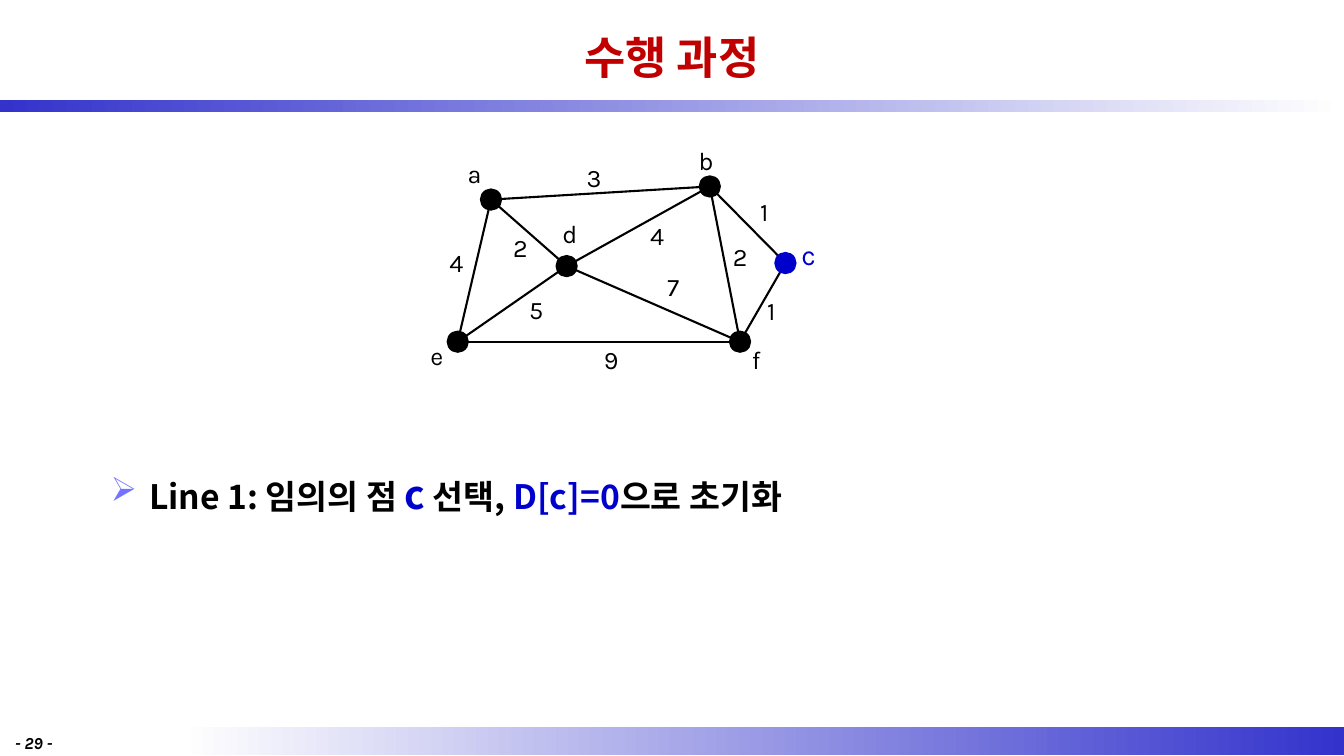
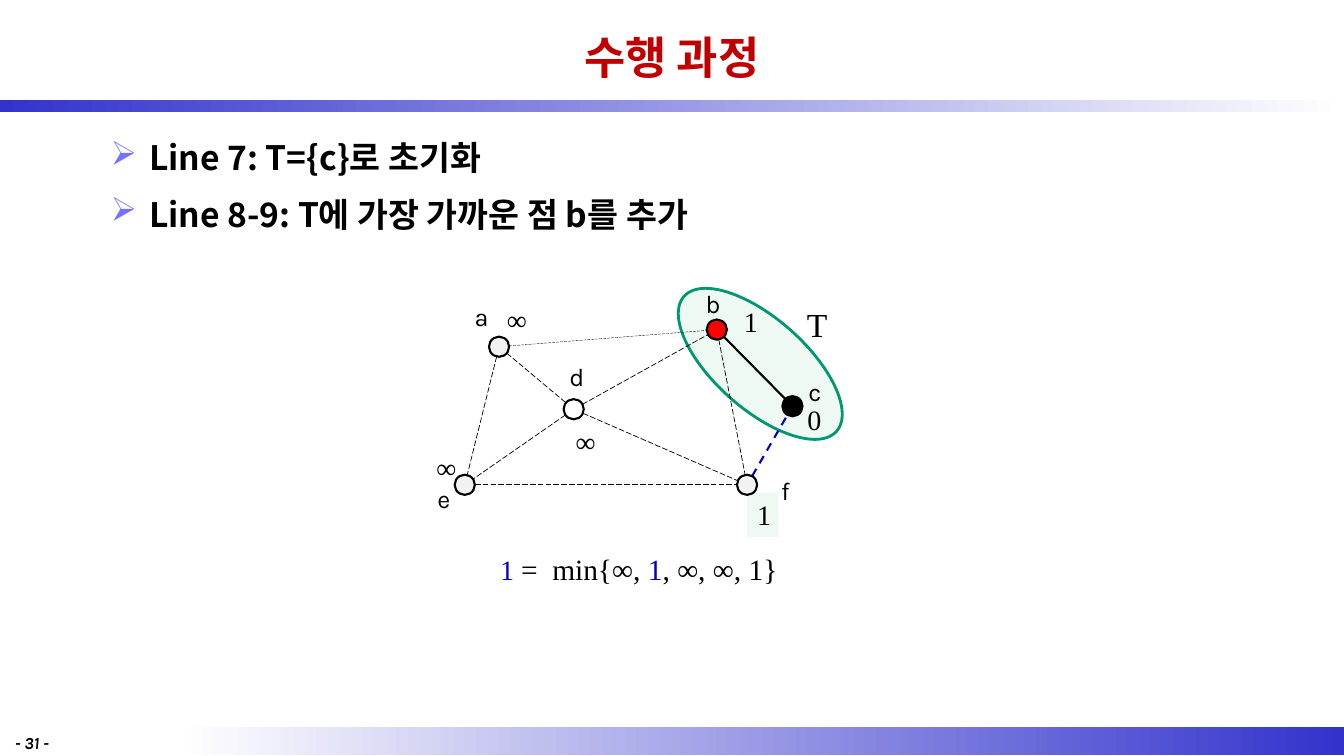
import math

import lxml.etree
import pptx
import pptx.dml.color
import pptx.enum.dml
import pptx.enum.shapes
import pptx.enum.text
import pptx.oxml.ns
import pptx.util

Inches = pptx.util.Inches
Pt = pptx.util.Pt
RGB = pptx.dml.color.RGBColor.from_string
Align = pptx.enum.text.PP_ALIGN
Dash = pptx.enum.dml.MSO_LINE
Shape = pptx.enum.shapes.MSO_SHAPE
qn = pptx.oxml.ns.qn


class Theme:
    black, white, gray = "000000", "FFFFFF", "F2F2F2"
    blue, band, bullet = "0000CC", "3333CC", "7373FF"
    title, red = "C00000", "FF0000"
    mint, green = "EEF9F4", "009771"
    heading_font, label_font, math_font = "Noto Sans CJK KR", "Karla", "Times New Roman"
    title_size, body_size, emphasis_size = 32, 24, 28
    label_size, value_size, formula_size, page_size = 18, 20, 21, 12


def add_text(slide, box, paragraphs, *, font=Theme.label_font, size=Theme.label_size,
             color=Theme.black, bold=False, italic=False, align=Align.LEFT,
             middle=False, wrap=True, fill=None, bullets=False):
    """Each paragraph is a string or a list of (text, overriding format) runs."""
    shape = slide.shapes.add_textbox(*map(Inches, box))
    if fill:
        shape.fill.solid()
        shape.fill.fore_color.rgb = RGB(fill)
    frame = shape.text_frame
    frame.word_wrap = wrap
    if middle:
        frame.vertical_anchor = pptx.enum.text.MSO_ANCHOR.MIDDLE
    for index, runs in enumerate(paragraphs):
        paragraph = frame.add_paragraph() if index else frame.paragraphs[0]
        paragraph.alignment = align
        if bullets:
            paragraph.line_spacing = 1.2
            paragraph.space_after = Pt(6)
            properties = paragraph._p.get_or_add_pPr()
            properties.set("marL", str(Inches(0.38)))
            properties.set("indent", str(-Inches(0.38)))
            bullet_color = lxml.etree.SubElement(properties, qn("a:buClr"))
            lxml.etree.SubElement(bullet_color, qn("a:srgbClr"), val=Theme.bullet)
            lxml.etree.SubElement(properties, qn("a:buChar"), char="➢")
        for content, style in [(runs, {})] if isinstance(runs, str) else runs:
            run = paragraph.add_run()
            run.text = content
            run.font.name = font
            run.font.size = Pt(style.get("size", size))
            run.font.bold = bold
            run.font.italic = italic
            run.font.color.rgb = RGB(style.get("color", color))
            lxml.etree.SubElement(run._r.get_or_add_rPr(), qn("a:ea"), typeface=font)


def add_shape(slide, kind, box, fill, line=None, width=1.5):
    """A pair of colours as fill makes a gradient from left to right."""
    shape = slide.shapes.add_shape(kind, *map(Inches, box))
    shape.shadow.inherit = False
    if isinstance(fill, tuple):
        shape.fill.gradient()
        shape.fill.gradient_angle = 0
        for stop, color in zip(shape.fill.gradient_stops, fill):
            stop.color.rgb = RGB(color)
    else:
        shape.fill.solid()
        shape.fill.fore_color.rgb = RGB(fill)
    if line:
        shape.line.color.rgb = RGB(line)
        shape.line.width = Pt(width)
    else:
        shape.line.fill.background()
    return shape


radius = 0.1
nodes = {"a": (4.87, 1.98), "b": (7.04, 1.85), "c": (7.79, 2.61),
         "d": (5.62, 2.64), "e": (4.54, 3.39), "f": (7.34, 3.39)}
labels = {"a": (4.54, 1.52), "b": (6.83, 1.39), "c": (7.85, 2.31),
          "d": (5.48, 2.12), "e": (4.17, 3.33), "f": (7.36, 3.37)}
edges = ["ad", "de", "ae", "df", "ef", "ab", "db", "cb", "fc", "bf"]
weights = [("3", 5.72, 1.56), ("1", 7.44, 1.9), ("4", 4.36, 2.4), ("7", 6.52, 2.64),
           ("2", 4.99, 2.26), ("9", 5.89, 3.37), ("1", 7.51, 2.88), ("4", 6.35, 2.14),
           ("5", 5.15, 2.87), ("2", 7.17, 2.34)]
shift_x, shift_y = 0.07, 1.42
blue = {"color": Theme.blue}
value_format = {"font": Theme.math_font, "size": Theme.value_size, "align": Align.CENTER}
formula = [("1 ", blue | {"size": Theme.value_size}), ("=  min{∞, ", {}),
           ("1", blue), (", ∞, ∞, 1}", {})]

steps = [
    {
        "page": 29,
        "body_top": 4.52,
        "body": [[("Line 1: 임의의 점 ", {}), ("c", blue | {"size": Theme.emphasis_size}),
                  (" 선택, ", {}), ("D[c]=0", blue), ("으로 초기화", {})]],
        "nodes": nodes,
        "labels": labels,
        "node_fill": Theme.black,
        "node_styles": {"c": (Theme.blue, Theme.blue)},
        "label_styles": {"c": {"size": 20, "color": Theme.blue}},
        "edge_style": (Theme.black, 1.5, None),
        "edge_styles": {},
        "region": None,
        "notes": [((x, y, 0.34, 0.4), weight, {"wrap": False}) for weight, x, y in weights],
    },
    {
        "page": 31,
        "body_top": 1.23,
        "body": ["Line 7: T={c}로 초기화", "Line 8-9: T에 가장 가까운 점 b를 추가"],
        "nodes": {name: (x + shift_x, y + shift_y) for name, (x, y) in nodes.items()}
        | {"a": (4.95, 3.44)},
        "labels": {name: (x + shift_x, y + shift_y) for name, (x, y) in labels.items()}
        | {"c": (7.92, 3.68), "f": (7.65, 4.67)},
        "node_fill": Theme.gray,
        "node_styles": {"b": (Theme.red, Theme.black), "c": (Theme.black, Theme.black),
                        "d": (Theme.white, Theme.black)},
        "label_styles": {},
        "edge_style": (Theme.black, 0.5, Dash.LONG_DASH),
        "edge_styles": {"ab": (Theme.black, 0.25, Dash.LONG_DASH),
                        "cb": (Theme.black, 1.5, None),
                        "fc": (Theme.blue, 1.5, Dash.DASH)},
        "region": (6.53, 3.16, 2.02, 0.9),
        "notes": [
            ((7.41, 4.89, 0.31, 0.44), "1", value_format | {"fill": Theme.mint}),
            ((5.61, 4.16, 0.21, 0.44), "∞", value_format),
            ((7.91, 3.94, 0.31, 0.44), "0", value_format),
            ((4.23, 4.42, 0.31, 0.44), "∞", value_format),
            ((4.93, 2.95, 0.31, 0.44), "∞", value_format),
            ((7.28, 2.97, 0.31, 0.44), "1", value_format),
            ((4.63, 5.42, 3.41, 0.45), formula, value_format | {"size": Theme.formula_size}),
            ((7.83, 2.97, 0.55, 0.5), "T", value_format | {"size": Theme.body_size}),
        ],
    },
]

presentation = pptx.Presentation()
presentation.slide_width = Inches(13.33)
presentation.slide_height = Inches(7.5)

for step in steps:
    slide = presentation.slides.add_slide(presentation.slide_layouts[6])

    add_shape(slide, Shape.RECTANGLE, (1.78, 7.21, 11.55, 0.28), (Theme.white, Theme.band))
    add_shape(slide, Shape.RECTANGLE, (0, 0.99, 13.33, 0.12), (Theme.band, Theme.white))
    add_text(slide, (1, 0.05, 11.33, 1.03), ["수행 과정"], font=Theme.heading_font,
             size=Theme.title_size, color=Theme.title, bold=True,
             align=Align.CENTER, middle=True)
    add_text(slide, (1, step["body_top"], 11.33, 7.21 - step["body_top"]), step["body"],
             font=Theme.heading_font, size=Theme.body_size, bold=True, bullets=True)
    add_text(slide, (0.05, 7.22, 0.95, 0.24), [f"- {step['page']} -"],
             size=Theme.page_size, bold=True, italic=True)

    if step["region"]:
        region = add_shape(slide, Shape.OVAL, step["region"], Theme.mint, Theme.green, 2)
        region.rotation = 41.5
    for box, content, style in step["notes"]:
        add_text(slide, box, [content], **style)

    for edge in edges:
        (x1, y1), (x2, y2) = (step["nodes"][name] for name in edge)
        length = math.hypot(x2 - x1, y2 - y1)
        trim_x, trim_y = radius * (x2 - x1) / length, radius * (y2 - y1) / length
        color, width, dash = step["edge_styles"].get(edge, step["edge_style"])
        connector = slide.shapes.add_connector(
            pptx.enum.shapes.MSO_CONNECTOR.STRAIGHT,
            Inches(x1 + trim_x), Inches(y1 + trim_y),
            Inches(x2 - trim_x), Inches(y2 - trim_y))
        connector.line.color.rgb = RGB(color)
        connector.line.width = Pt(width)
        if dash:
            connector.line.dash_style = dash
        lxml.etree.SubElement(connector._element.spPr, qn("a:effectLst"))

    for name, (x, y) in step["nodes"].items():
        fill, line = step["node_styles"].get(name, (step["node_fill"], Theme.black))
        add_shape(slide, Shape.OVAL, (x - radius, y - radius, 2 * radius, 2 * radius),
                  fill, line)
        add_text(slide, (*step["labels"][name], 0.34, 0.4), [name], wrap=False,
                 **step["label_styles"].get(name, {}))

presentation.save("out.pptx")
